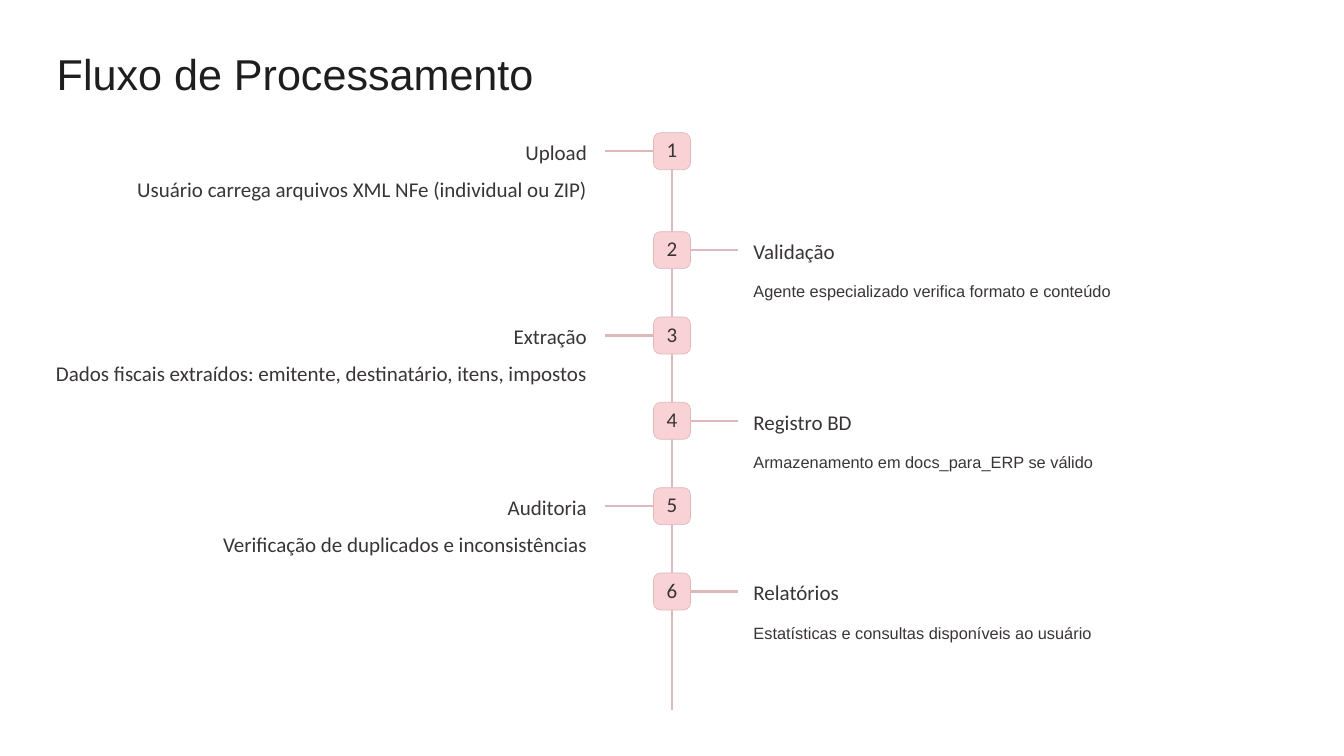
import pptx
import pptx.dml.color
import pptx.enum.shapes
import pptx.enum.text
import pptx.oxml.ns
import pptx.util
from lxml import etree

Pt = pptx.util.Pt
RGBColor = pptx.dml.color.RGBColor
ALIGN = pptx.enum.text.PP_ALIGN
SHAPES = pptx.enum.shapes.MSO_SHAPE
STRAIGHT = pptx.enum.shapes.MSO_CONNECTOR.STRAIGHT

TITLE_COLOR = RGBColor(0x1F, 0x1E, 0x1E)
TEXT_COLOR = RGBColor(0x3A, 0x35, 0x35)
BADGE_COLOR = RGBColor(0xF8, 0xD2, 0xD5)
LINE_COLOR = RGBColor(0xDF, 0xB8, 0xBB)

# Timeline geometry in points
AXIS_X = 576
AXIS_BOTTOM = 609
BADGE_SIZE = 31.7
FIRST_TOP = 113.8
SECOND_TOP = 198.6
STEP_GAP = 73.15
BRANCH_REACH = 57
LEFT_TEXT_END = 503
RIGHT_TEXT_START = 645.8

# Heading, description, width of the description box
STEPS = [
    ("Upload", "Usuário carrega arquivos XML NFe (individual ou ZIP)", 388),
    ("Validação", "Agente especializado verifica formato e conteúdo", 308),
    ("Extração", "Dados fiscais extraídos: emitente, destinatário, itens, impostos", 460),
    ("Registro BD", "Armazenamento em docs_para_ERP se válido", 293),
    ("Auditoria", "Verificação de duplicados e inconsistências", 314),
    ("Relatórios", "Estatísticas e consultas disponíveis ao usuário", 292),
]


def write_text(shape, *lines, size=18, font="Calibri", color=TEXT_COLOR,
               align=ALIGN.LEFT, spacing=None):
    frame = shape.text_frame
    frame.word_wrap = True
    frame.vertical_anchor = pptx.enum.text.MSO_ANCHOR.TOP
    frame.margin_left = frame.margin_right = frame.margin_bottom = 0
    frame.margin_top = Pt(1.7)
    frame.text = "\n".join(lines)
    for paragraph in frame.paragraphs:
        paragraph.alignment = align
        paragraph.line_spacing = spacing
        paragraph.font.size = Pt(size)
        paragraph.font.name = font
        paragraph.font.color.rgb = color


def add_text(slide, left, top, width, height, *lines, **text_format):
    box = slide.shapes.add_textbox(Pt(left), Pt(top), Pt(width), Pt(height))
    write_text(box, *lines, **text_format)


def add_line(slide, x1, y1, x2, y2):
    line = slide.shapes.add_connector(STRAIGHT, Pt(x1), Pt(y1), Pt(x2), Pt(y2))
    line.line.color.rgb = LINE_COLOR
    line.line.width = Pt(1.8)
    properties = line._element.spPr
    etree.SubElement(properties, pptx.oxml.ns.qn("a:effectLst"))
    return line


def add_badge(slide, number, top):
    badge = slide.shapes.add_shape(
        SHAPES.ROUNDED_RECTANGLE, Pt(AXIS_X - BADGE_SIZE / 2), Pt(top),
        Pt(BADGE_SIZE), Pt(BADGE_SIZE))
    badge.adjustments[0] = 0.19
    badge.shadow.inherit = False
    badge.fill.solid()
    badge.fill.fore_color.rgb = BADGE_COLOR
    badge.line.color.rgb = LINE_COLOR
    badge.line.width = Pt(0.6)
    write_text(badge, str(number), align=ALIGN.CENTER)
    return badge


def add_step(slide, number, heading, description, width):
    top = FIRST_TOP if number == 1 else SECOND_TOP + (number - 2) * STEP_GAP
    middle = top + BADGE_SIZE / 2
    on_left = number % 2 == 1
    badge = add_badge(slide, number, top)

    # Branch from the badge towards its text
    branch_end = AXIS_X - BRANCH_REACH if on_left else AXIS_X + BRANCH_REACH
    branch = add_line(slide, AXIS_X, middle, branch_end, middle)
    branch.begin_connect(badge, 1 if on_left else 3)

    # Heading and description
    if on_left:
        add_text(slide, LEFT_TEXT_END - width, top - 5.5, width, 65,
                 heading, description, align=ALIGN.RIGHT, spacing=1.45)
    else:
        add_text(slide, RIGHT_TEXT_START, top + 4, 90, 24, heading)
        add_text(slide, RIGHT_TEXT_START, top + 41, width, 19, description,
                 size=14, font="Arial")
    return badge


def main():
    presentation = pptx.Presentation()
    presentation.slide_width = Pt(1152)
    presentation.slide_height = Pt(648)
    slide = presentation.slides.add_slide(presentation.slide_layouts[6])

    # Title
    add_text(slide, 48.6, 38.9, 420, 46, "Fluxo de Processamento",
             size=37, font="Arial", color=TITLE_COLOR)

    # Timeline: axis behind the numbered steps
    axis = add_line(slide, AXIS_X, FIRST_TOP, AXIS_X, AXIS_BOTTOM)
    badges = [add_step(slide, number, *step)
              for number, step in enumerate(STEPS, start=1)]
    axis.begin_connect(badges[0], 0)

    presentation.save("out.pptx")


if __name__ == "__main__":
    main()
